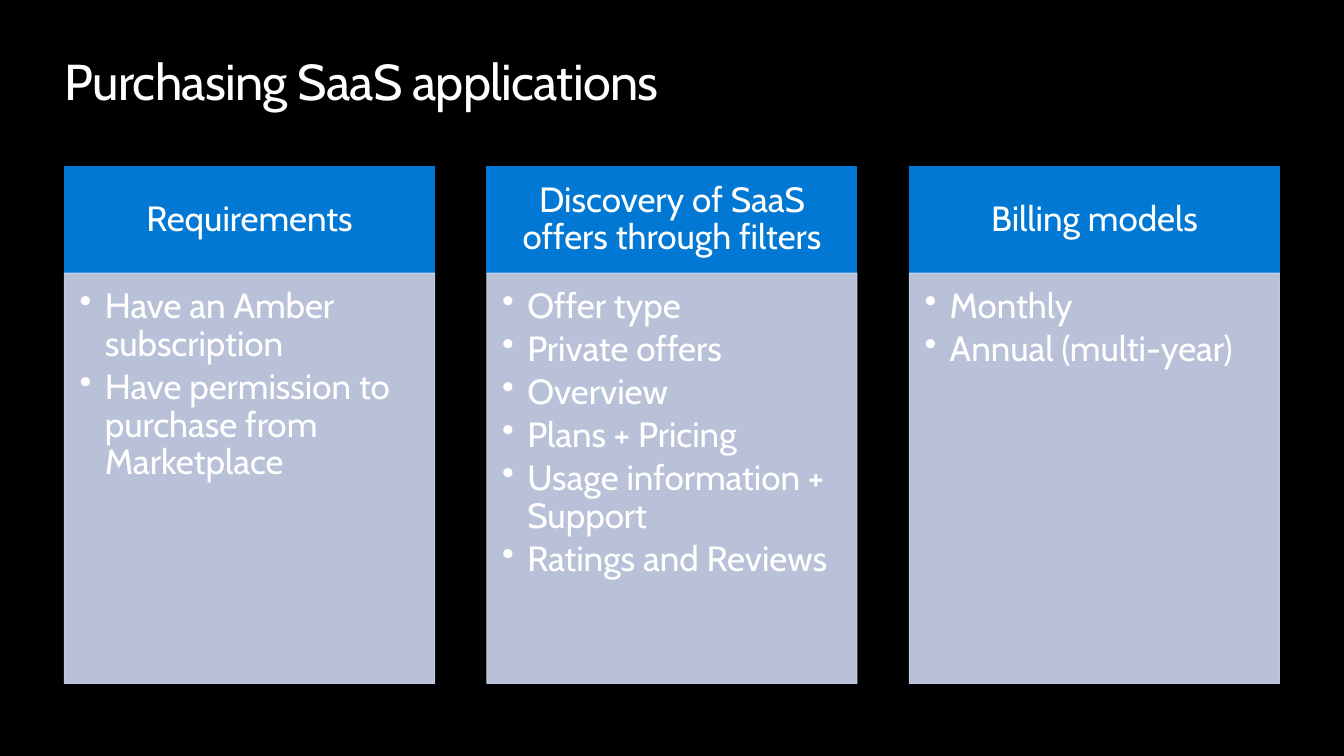
from dataclasses import dataclass

from lxml import etree
from pptx import Presentation, util as u
from pptx.dml.color import RGBColor
from pptx.enum import shapes, text
from pptx.oxml import ns


@dataclass(frozen=True)
class Theme:
    font: str = "Cabin"
    background: str = "000000"
    ink: str = "FFFFFF"
    header: str = "0078D4"
    body: str = "CCD6EF"
    title_size: int = 36
    text_size: int = 25


theme = Theme()


def write(box, lines, size=theme.text_size, align=text.PP_ALIGN.LEFT,
          anchor=text.MSO_ANCHOR.TOP, insets=(0, 0, 0, 0),
          line_spacing=None, after=0, bullet=None, tracking=None):
    frame = box.text_frame
    frame.word_wrap = True
    frame.vertical_anchor = anchor
    frame.margin_left, frame.margin_top, frame.margin_right, frame.margin_bottom = map(u.Inches, insets)
    for index, line in enumerate(lines):
        para = frame.add_paragraph() if index else frame.paragraphs[0]
        para.alignment = align
        para.line_spacing = line_spacing
        para.space_after = u.Pt(size * after)
        span = para.add_run()
        span.text = line
        span.font.size = u.Pt(size)
        span.font.name = theme.font
        span.font.color.rgb = RGBColor.from_string(theme.ink)
        if tracking:
            span.font._element.set("spc", str(int(tracking * 100)))
        if bullet:
            properties = para._p.get_or_add_pPr()
            properties.set("marL", str(u.Inches(0.25)))
            properties.set("indent", str(u.Inches(-0.25)))
            etree.SubElement(properties, ns.qn("a:buChar"), char=bullet)


def add_panel(page, left, top, width, height, color, opacity=100):
    box = page.shapes.add_shape(shapes.MSO_SHAPE.RECTANGLE, *map(u.Inches, (left, top, width, height)))
    box.shadow.inherit = False
    box.line.width = u.Pt(0.75)
    box.fill.solid()
    for paint in (box.fill.fore_color, box.line.color):
        paint.rgb = RGBColor.from_string(color)
    if opacity < 100:
        for swatch in box._element.spPr.iter(ns.qn("a:srgbClr")):
            etree.SubElement(swatch, ns.qn("a:alpha"), val=str(opacity * 1000))
    return box


deck = Presentation()
deck.slide_width, deck.slide_height = u.Inches(13.33), u.Inches(7.5)
page = deck.slides.add_slide(deck.slide_layouts[6])
page.background.fill.solid()
page.background.fill.fore_color.rgb = RGBColor.from_string(theme.background)

margin, column_width, column_pitch = 0.64, 3.67, 4.19
header_top, header_height, body_height = 1.65, 1.06, 4.07

title = page.shapes.add_textbox(u.Inches(margin), u.Inches(0.5), u.Inches(12.05), u.Inches(0.61))
write(title, ["Purchasing SaaS applications"], size=theme.title_size, tracking=-0.5)

columns = [
    ("Requirements", [
        "Have an Amber subscription",
        "Have permission to purchase from Marketplace",
    ]),
    ("Discovery of SaaS offers through filters", [
        "Offer type",
        "Private offers",
        "Overview",
        "Plans + Pricing",
        "Usage information + Support",
        "Ratings and Reviews",
    ]),
    ("Billing models", ["Monthly", "Annual (multi-year)"]),
]

for index, (heading, items) in enumerate(columns):
    left = margin + index * column_pitch
    header = add_panel(page, left, header_top, column_width, header_height, theme.header)
    write(header, [heading], align=text.PP_ALIGN.CENTER, anchor=text.MSO_ANCHOR.MIDDLE,
          insets=(0.19, 0.11, 0.19, 0.11), line_spacing=0.9, after=0.35)
    body = add_panel(page, left, header_top + header_height, column_width, body_height,
                     theme.body, opacity=90)
    write(body, items, insets=(0.15, 0.15, 0.19, 0.22), line_spacing=0.9, after=0.15, bullet="•")

deck.save("out.pptx")
